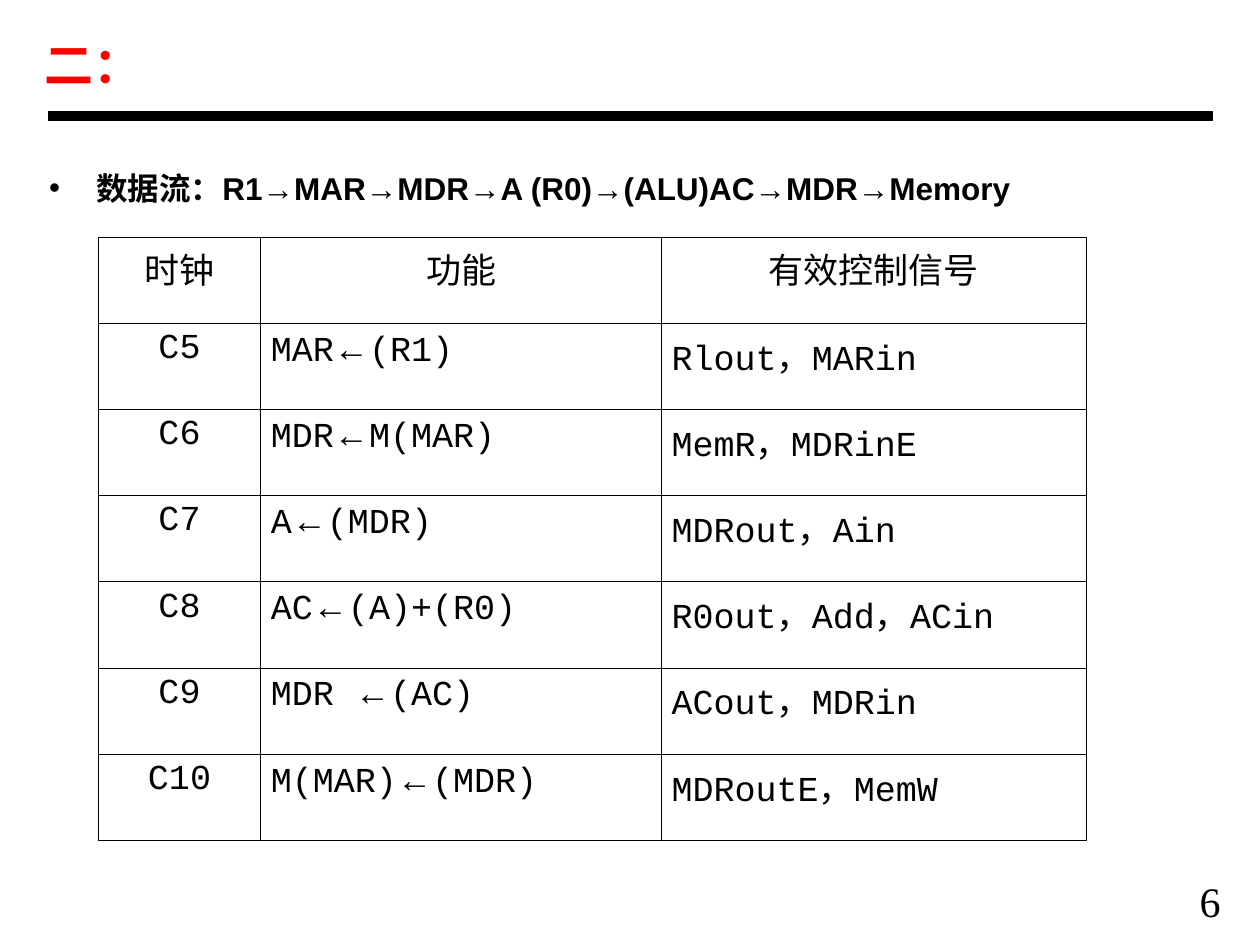
"""Build a slide listing the data flow and control signals of each clock cycle."""
import pptx
import pptx.dml.color
import pptx.enum.shapes
import pptx.enum.text
import pptx.oxml
import pptx.oxml.ns
import pptx.util

COLORS = {"ink": "000000", "title": "FF0000"}
SLIDE_WIDTH = pptx.util.Inches(10)
SLIDE_HEIGHT = pptx.util.Inches(7.5)
COLUMN = SLIDE_WIDTH / 100
ROW = SLIDE_HEIGHT / 75
ALIGN = pptx.enum.text.PP_ALIGN
ARROW = "←"
HEADER = ("时钟", "功能", "有效控制信号")
CYCLES = (
    ("C5", "MAR←(R1)", "Rlout,MARin"),
    ("C6", "MDR←M(MAR)", "MemR,MDRinE"),
    ("C7", "A←(MDR)", "MDRout,Ain"),
    ("C8", "AC←(A)+(R0)", "R0out,Add,ACin"),
    ("C9", "MDR ←(AC)", "ACout,MDRin"),
    ("C10", "M(MAR)←(MDR)", "MDRoutE,MemW"),
)


def color(name):
    """Return a named colour."""
    return pptx.dml.color.RGBColor.from_string(COLORS[name])


def box(left, top, width, height):
    """Convert grid units to slide lengths."""
    return round(left * COLUMN), round(top * ROW), round(width * COLUMN), round(height * ROW)


def add_xml(parent, tag, content="", **attributes):
    """Append a drawing element to a parent."""
    settings = " ".join(f'{key}="{value}"' for key, value in attributes.items())
    namespace = pptx.oxml.ns.nsdecls("a")
    parent.append(pptx.oxml.parse_xml(f"<a:{tag} {namespace} {settings}>{content}</a:{tag}>"))


def style(paragraph, size, font, align=ALIGN.LEFT, bold=False, ink="ink"):
    """Format a whole paragraph."""
    paragraph.alignment = align
    paragraph.font.size = pptx.util.Pt(size)
    paragraph.font.name = font
    paragraph.font.bold = bold
    paragraph.font.color.rgb = color(ink)


def fill_placeholder(shape, bounds, text, anchor):
    """Move a placeholder, set its text and return the paragraph."""
    shape.left, shape.top, shape.width, shape.height = box(*bounds)
    frame = shape.text_frame
    frame.text = text
    frame.auto_size = pptx.enum.text.MSO_AUTO_SIZE.NONE
    frame.vertical_anchor = anchor
    return frame.paragraphs[0]


def add_title(slide):
    """Fill the title."""
    paragraph = fill_placeholder(slide.shapes.title, (2.5, 1.7, 83.3, 6.7), "二：",
                                 pptx.enum.text.MSO_ANCHOR.MIDDLE)
    style(paragraph, 28, "Arial", bold=True, ink="title")


def add_data_flow(slide):
    """Fill the body with the bulleted data flow."""
    steps = ("R1", "MAR", "MDR", "A (R0)", "(ALU)AC", "MDR", "Memory")
    paragraph = fill_placeholder(slide.placeholders[1], (2.9, 12.9, 93.2, 7.1),
                                 "数据流：" + "→".join(steps), pptx.enum.text.MSO_ANCHOR.TOP)
    properties = paragraph._p.get_or_add_pPr()
    indent = round(3.75 * COLUMN)
    properties.set("marL", str(indent))
    properties.set("indent", str(-indent))
    add_xml(properties, "buChar", char="•")
    paragraph.space_before = pptx.util.Pt(4.5)
    style(paragraph, 18, "Arial", bold=True)


def add_rule(slide):
    """Draw the rule under the title."""
    left, top, width, _ = box(3.8, 9.2, 92.5, 0)
    rule = slide.shapes.add_connector(pptx.enum.shapes.MSO_CONNECTOR.STRAIGHT,
                                      left, top, left + width, top)
    rule.line.color.rgb = color("ink")
    rule.line.width = pptx.util.Pt(6)
    add_xml(rule._element.spPr, "effectLst")


def add_page_number(slide):
    """Write the page number."""
    frame = slide.shapes.add_textbox(*box(88.1, 69, 15.9, 5)).text_frame
    frame.word_wrap = False
    frame.text = "6"
    style(frame.paragraphs[0], 24, "Times New Roman", ALIGN.CENTER)


def format_cell(cell, text, align):
    """Write and outline one table cell."""
    cell.margin_left = cell.margin_right = round(0.8 * COLUMN)
    cell.margin_top = cell.margin_bottom = round(0.5 * ROW)
    paragraph = cell.text_frame.paragraphs[0]
    before, arrow, after = text.partition(ARROW)
    for part in filter(None, (before, arrow, after)):
        run = paragraph.add_run()
        run.text = part
        if part == ARROW:
            run.font.name = "Arial"
    style(paragraph, 20, "Courier New", align)
    properties = cell._tc.get_or_add_tcPr()
    for side in ("lnL", "lnR", "lnT", "lnB"):
        add_xml(properties, side, f'<a:solidFill><a:srgbClr val="{COLORS["ink"]}"/></a:solidFill>',
                w=pptx.util.Pt(0.45))
    cell.fill.background()


def add_cycle_table(slide):
    """Add the table of clock cycles."""
    rows = (HEADER,) + CYCLES
    widths = (12.9, 31.8, 33.7)
    bounds = box(7.8, 18.8, sum(widths), 47.9)
    table = slide.shapes.add_table(len(rows), len(widths), *bounds).table
    table.first_row = table.horz_banding = False
    for column, width in zip(table.columns, widths):
        column.width = round(width * COLUMN)
    for row_index, values in enumerate(rows):
        table.rows[row_index].height = round(bounds[3] / len(rows))
        for column_index, text in enumerate(values):
            centered = row_index == 0 or column_index == 0
            format_cell(table.cell(row_index, column_index), text.replace(",", "，"),
                        ALIGN.CENTER if centered else ALIGN.JUSTIFY)


def main():
    """Build and save the presentation."""
    presentation = pptx.Presentation()
    presentation.slide_width = SLIDE_WIDTH
    presentation.slide_height = SLIDE_HEIGHT
    slide = presentation.slides.add_slide(presentation.slide_layouts[1])
    add_rule(slide)
    add_page_number(slide)
    add_title(slide)
    add_data_flow(slide)
    add_cycle_table(slide)
    presentation.save("out.pptx")


main()
